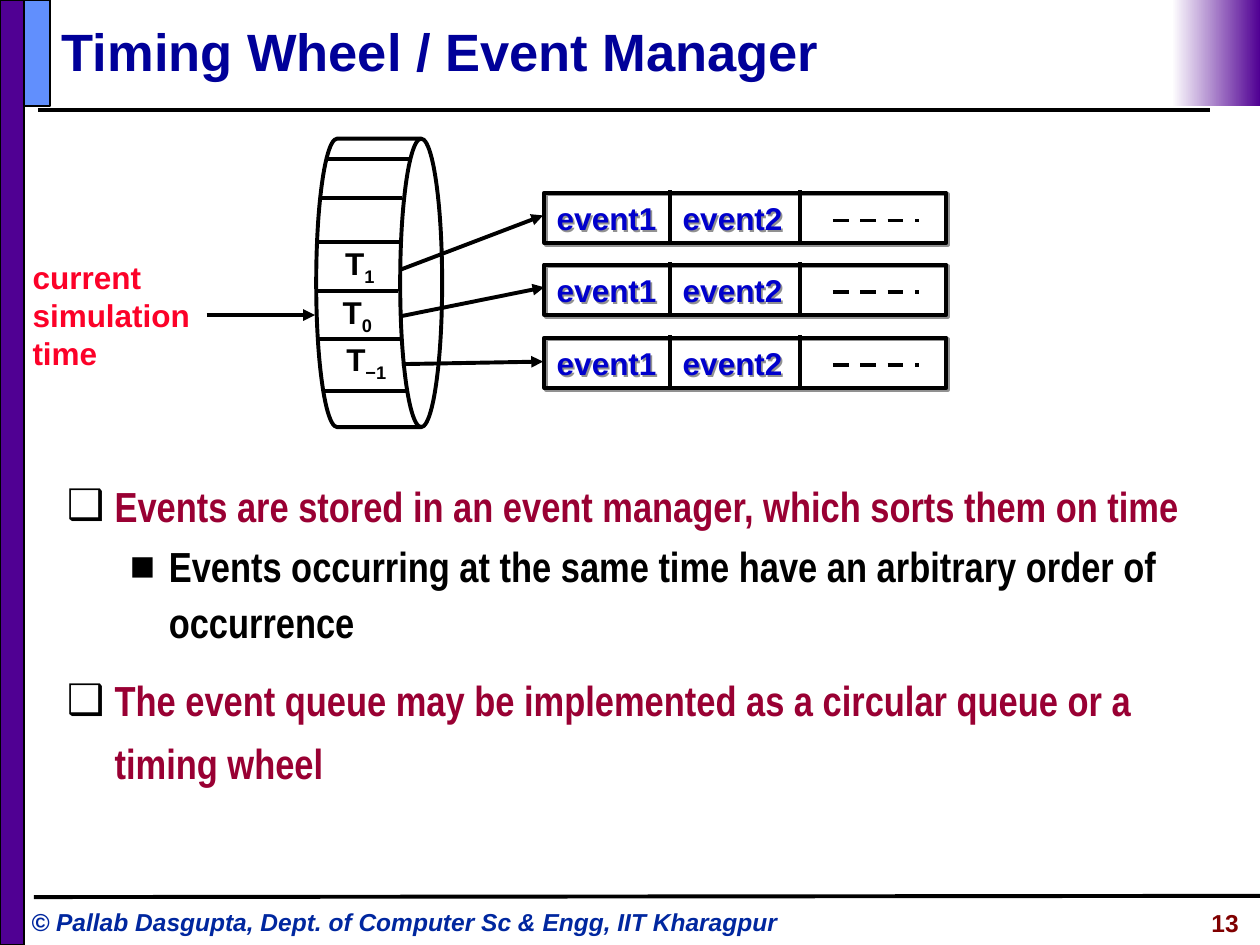
"""Build the timing wheel / event manager slide."""
from lxml import etree
from pptx import Presentation
from pptx.dml.color import RGBColor
from pptx.enum import dml, shapes, text
from pptx.oxml.ns import qn
from pptx.util import Inches, Pt

COLORS = {
    "black": "000000", "white": "FFFFFF", "purple": "500093", "blue": "618FFD",
    "title": "000099", "footer": "00279F", "crimson": "990033", "event": "0000CC",
    "red": "FC0128", "maroon": "800000", "shadow": "919191",
}
TITLE = "Timing Wheel / Event Manager"
FOOTER = "© Pallab Dasgupta, Dept. of Computer Sc & Engg, IIT Kharagpur"
PAGE = "13"
POINTS = [
    (0, "Events are stored in an event manager, which sorts them on time"),
    (1, "Events occurring at the same time have an arbitrary order of occurrence"),
    (0, "The event queue may be implemented as a circular queue or a timing wheel"),
]
LEVELS = [
    {"bullet": "❑", "color": "crimson", "margin": 0.38, "hang": 0.38, "spacing": 1.25, "before": 9},
    {"bullet": "■", "color": "black", "margin": 0.81, "hang": 0.31, "spacing": 1.1, "before": 3},
]
POINTER = "current\nsimulation\ntime"
SLOTS = [("1", 2.64, 1.89, 0.45), ("0", 2.62, 2.28, 0.45), ("−1", 2.65, 2.65, 0.56)]
SLOT_EDGES = [(2.6, 1.26), (2.54, 1.57), (2.53, 1.92), (2.51, 2.31), (2.53, 2.69), (2.57, 3.1)]
EDGE_WIDTH = 0.65
EVENTS = "event1\tevent2"
QUEUE_LEFT, QUEUE_WIDTH, QUEUE_HEIGHT = 4.32, 3.19, 0.4
QUEUE_TOPS = [1.53, 2.1, 2.68]
DIVIDERS = [5.32, 6.35]
RULES = [(0.3, 0.87, 9.6, 0.87), (0.27, 7.12, 10, 7.11)]
ARROWS = [
    (3.18, 2.14, 4.31, 1.71), (3.18, 2.51, 4.32, 2.28),
    (3.19, 2.89, 4.31, 2.87), (1.64, 2.5, 2.5, 2.5),
]


def rgb(name):
    return RGBColor.from_string(COLORS[name])


def add_xml(parent, tag, **attributes):
    return etree.SubElement(parent, qn(tag), attributes)


def style(frame, size, color, font="Arial", italic=None):
    for paragraph in frame.paragraphs:
        for run in paragraph.runs:
            run.font.size, run.font.name = Pt(size), font
            run.font.bold, run.font.italic = True, italic
            run.font.color.rgb = rgb(color)


def place(item, *box):
    item.left, item.top, item.width, item.height = map(Inches, box)


def add_label(slide, words, box, size, color, wrap=True, italic=None):
    frame = slide.shapes.add_textbox(*map(Inches, box)).text_frame
    frame.word_wrap = wrap
    frame.text = words
    style(frame, size, color, italic=italic)
    return frame


def add_outline(slide, kind, box, fill=None, line=2.25):
    outline = slide.shapes.add_shape(kind, *map(Inches, box))
    if fill:
        outline.fill.solid()
        outline.fill.fore_color.rgb = rgb(fill)
    else:
        outline.fill.background()
    outline.line.color.rgb = rgb("black")
    outline.line.width = Pt(line)
    outline.shadow.inherit = False
    return outline


def add_line(slide, ends, arrow=False, dashed=False):
    line = slide.shapes.add_connector(shapes.MSO_CONNECTOR.STRAIGHT, *map(Inches, ends))
    line.line.color.rgb = rgb("black")
    line.line.width = Pt(2.25)
    if dashed:
        line.line.dash_style = dml.MSO_LINE.DASH
    if arrow:
        add_xml(line.line._get_or_add_ln(), "a:tailEnd", type="triangle")
    add_xml(line._element.spPr, "a:effectLst")


def add_frame(slide):
    rect = shapes.MSO_SHAPE.RECTANGLE
    add_outline(slide, rect, (0, 0, 0.19, 7.5), "purple", 1)
    add_outline(slide, rect, (0.19, 0, 0.21, 0.84), "blue", 1)
    fade = add_outline(slide, rect, (9.3, 0, 0.7, 0.84))
    fade.line.fill.background()
    fade.fill.gradient()
    fade.fill.gradient_angle = 180
    for stop, color in zip(fade.fill.gradient_stops, ("purple", "white")):
        stop.color.rgb = rgb(color)
    for ends in RULES:
        add_line(slide, ends)
    add_label(slide, FOOTER, (0.15, 7.15, 6.37, 0.34), 14, "footer", italic=True)
    page = add_label(slide, PAGE, (8.18, 7.16, 1.75, 0.35), 14, "maroon")
    page.paragraphs[0].alignment = text.PP_ALIGN.RIGHT


def fill_title(title):
    place(title, 0.39, 0.1, 9.1, 0.61)
    frame = title.text_frame
    frame.text = TITLE
    frame.auto_size = text.MSO_AUTO_SIZE.NONE
    frame.vertical_anchor = text.MSO_ANCHOR.MIDDLE
    frame.paragraphs[0].alignment = text.PP_ALIGN.LEFT
    style(frame, 30, "title")


def fill_points(body):
    place(body, 0.43, 3.66, 9.16, 3.18)
    frame = body.text_frame
    frame.text = "\n".join(words for _, words in POINTS)
    frame.auto_size = text.MSO_AUTO_SIZE.NONE
    style(frame, 24, "crimson", "Arial Narrow")
    for paragraph, (depth, _) in zip(frame.paragraphs, POINTS):
        level = LEVELS[depth]
        paragraph.level = depth
        paragraph.line_spacing = level["spacing"]
        paragraph.space_before = Pt(level["before"])
        paragraph.runs[0].font.color.rgb = rgb(level["color"])
        props = paragraph._p.get_or_add_pPr()
        props.set("marL", str(Inches(level["margin"])))
        props.set("indent", str(-Inches(level["hang"])))
        add_xml(add_xml(props, "a:buClr"), "a:srgbClr", val=COLORS["black"])
        add_xml(props, "a:buChar", char=level["bullet"])


def add_wheel(slide):
    add_outline(slide, shapes.MSO_SHAPE.FLOWCHART_DIRECT_ACCESS_STORAGE, (2.51, 1.1, 1, 2.29))
    for left, top in SLOT_EDGES:
        add_line(slide, (left, top, left + EDGE_WIDTH, top))
    for index, left, top, width in SLOTS:
        slot = add_label(slide, "T", (left, top, width, 0.44), 18, "black")
        subscript = slot.paragraphs[0].add_run()
        subscript.text = index
        style(slot, 18, "black")
        subscript._r.get_or_add_rPr().set("baseline", "-25000")
    add_label(slide, POINTER, (0.16, 2, 1.45, 1), 18, "red", wrap=False)


def add_queue(slide, top):
    queue = add_outline(slide, shapes.MSO_SHAPE.RECTANGLE,
                        (QUEUE_LEFT, top, QUEUE_WIDTH, QUEUE_HEIGHT))
    shadow = add_xml(queue._element.spPr.find(qn("a:effectLst")), "a:outerShdw",
                     dist=str(Pt(1.4)), dir="2700000", algn="ctr", rotWithShape="0")
    add_xml(shadow, "a:srgbClr", val=COLORS["shadow"])
    frame = queue.text_frame
    frame.text = EVENTS
    frame.vertical_anchor = text.MSO_ANCHOR.MIDDLE
    events = frame.paragraphs[0]
    events.alignment = text.PP_ALIGN.LEFT
    tabs = add_xml(events._p.get_or_add_pPr(), "a:tabLst")
    add_xml(tabs, "a:tab", pos=str(Inches(1)), algn="l")
    style(frame, 18, "event")
    for x in DIVIDERS:
        add_line(slide, (x, top - 0.02, x, top + 0.39))
    add_line(slide, (6.61, top + 0.22, 7.29, top + 0.22), dashed=True)


def main():
    deck = Presentation()
    deck.slide_width, deck.slide_height = Inches(10), Inches(7.5)
    slide = deck.slides.add_slide(deck.slide_layouts[1])
    title, body = slide.placeholders
    add_frame(slide)
    fill_title(title)
    fill_points(body)
    add_wheel(slide)
    for top in QUEUE_TOPS:
        add_queue(slide, top)
    for ends in ARROWS:
        add_line(slide, ends, arrow=True)
    deck.save("out.pptx")


if __name__ == "__main__":
    main()
